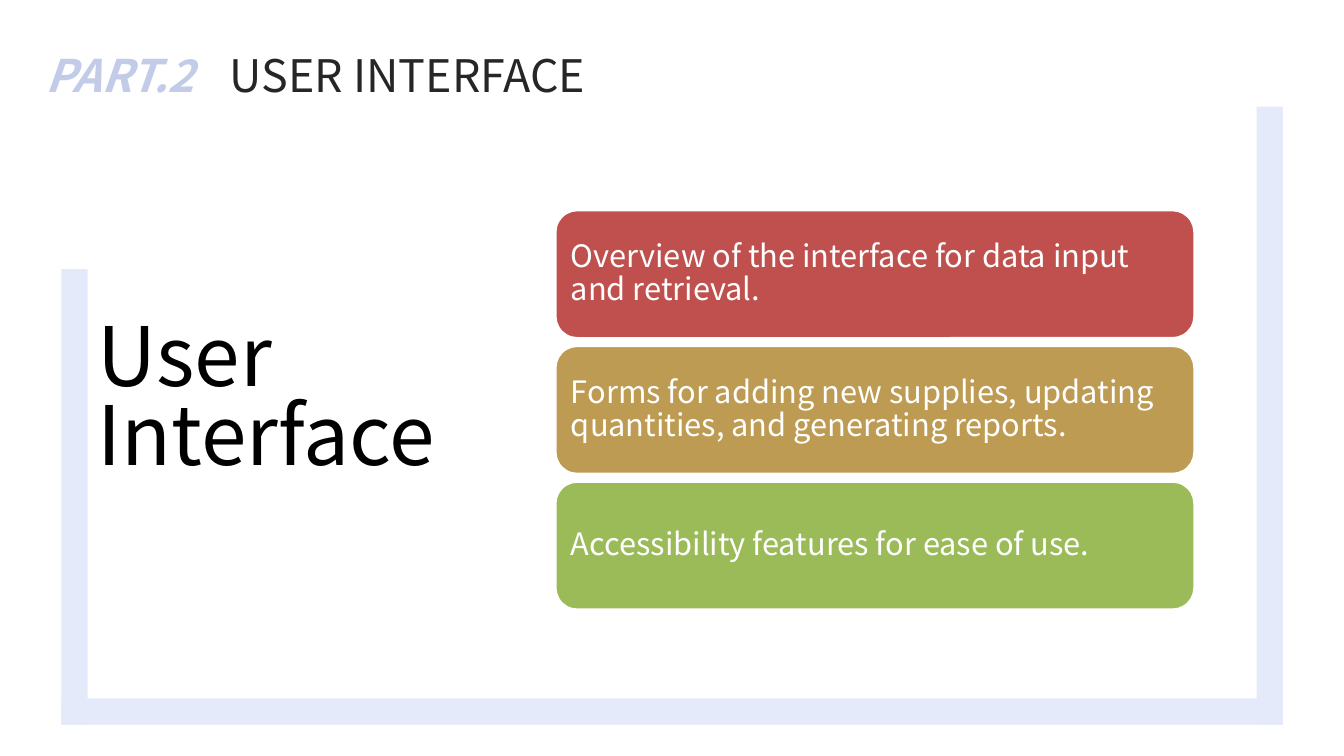
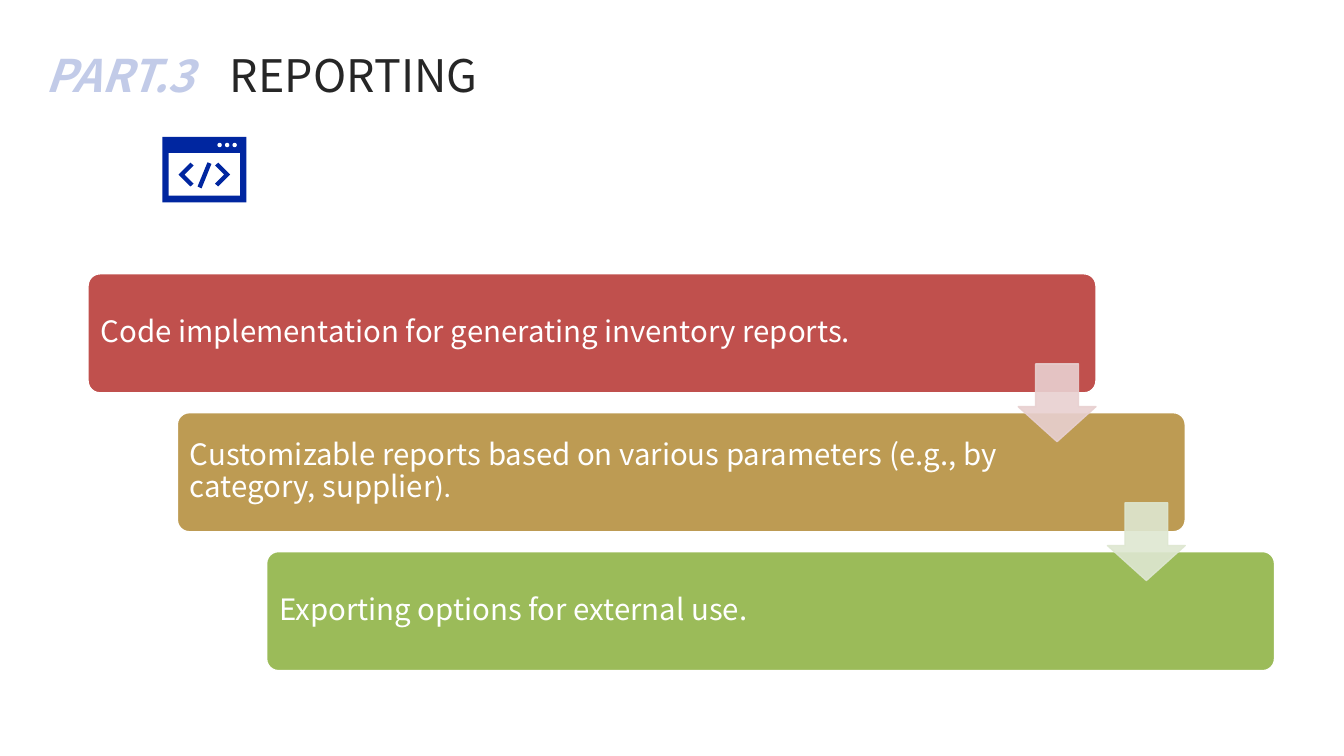
import dataclasses

import pptx
import pptx.dml.color
import pptx.enum.shapes
import pptx.enum.text
import pptx.oxml.ns
import pptx.util
from lxml import etree

Cm = pptx.util.Cm
Pt = pptx.util.Pt
Shape = pptx.enum.shapes.MSO_SHAPE
Anchor = pptx.enum.text.MSO_ANCHOR


@dataclasses.dataclass(frozen=True)
class Theme:
    font: str = "Noto Sans CJK SC"
    second_font: str = "Calibri"
    white: str = "FFFFFF"
    black: str = "000000"
    title: str = "262626"
    section_label: str = "C2CBE8"
    band: str = "E4EAFA"
    icon: str = "0026A0"
    cards: tuple = ("C0504D", "BD9B53", "9BBB59")
    arrows: tuple = ("E8D0D0", "DEE7D1")
    arrow_opacity: int = 90
    title_size: float = 32
    heading_size: float = 58.5
    card_size: float = 22
    step_size: float = 21


THEME = Theme()


def rgb(color):
    return pptx.dml.color.RGBColor.from_string(color)


def write_text(frame, text, *, size, color, bold=False, italic=False,
               spacing=1.0, anchor=Anchor.TOP, ending=""):
    frame.word_wrap = True
    frame.auto_size = pptx.enum.text.MSO_AUTO_SIZE.NONE
    frame.vertical_anchor = anchor
    paragraph = frame.paragraphs[0]
    paragraph.alignment = pptx.enum.text.PP_ALIGN.LEFT
    paragraph.line_spacing = spacing
    for words, font_name in ((text, THEME.font), (ending, THEME.second_font)):
        if words:
            run = paragraph.add_run()
            run.text = words
            run.font.name = font_name
            run.font.size = Pt(size)
            run.font.bold = bold
            run.font.italic = italic
            run.font.color.rgb = rgb(color)


def set_opacity(shape, percent):
    for color in shape.element.spPr.iter(pptx.oxml.ns.qn("a:srgbClr")):
        alpha = etree.SubElement(color, pptx.oxml.ns.qn("a:alpha"))
        alpha.set("val", str(percent * 1000))


class Deck:
    def __init__(self):
        self.presentation = pptx.Presentation()
        self.presentation.slide_width = Cm(33.87)
        self.presentation.slide_height = Cm(19.05)
        self.slide = None

    def add_slide(self, section_label, title):
        layout = self.presentation.slide_layouts.get_by_name("Title Only")
        self.slide = self.presentation.slides.add_slide(layout)
        self.text_box(section_label, 0.89, 1.07, 4.6, 1.63,
                      size=THEME.title_size, color=THEME.section_label,
                      bold=True, italic=True)
        placeholder = self.slide.shapes.title
        placeholder.left, placeholder.top = Cm(5.54), Cm(1.07)
        placeholder.width, placeholder.height = Cm(19.5), Cm(1.63)
        write_text(placeholder.text_frame, title,
                   size=THEME.title_size, color=THEME.title)

    def text_box(self, text, left, top, width, height, **text_format):
        shape = self.slide.shapes.add_textbox(
            Cm(left), Cm(top), Cm(width), Cm(height))
        write_text(shape.text_frame, text, **text_format)

    def style(self, shape, fill, line=None, line_width=1):
        shape.shadow.inherit = False
        shape.fill.solid()
        shape.fill.fore_color.rgb = rgb(fill)
        if line:
            shape.line.color.rgb = rgb(line)
            shape.line.width = Pt(line_width)
        else:
            shape.line.fill.background()
        return shape

    def shape(self, kind, left, top, width, height, fill, **line_format):
        shape = self.slide.shapes.add_shape(
            kind, Cm(left), Cm(top), Cm(width), Cm(height))
        return self.style(shape, fill, **line_format)

    def outline(self, points, fill):
        corners = [(Cm(x), Cm(y)) for x, y in points]
        builder = self.slide.shapes.build_freeform(*corners[0])
        builder.add_line_segments(corners[1:], close=True)
        self.style(builder.convert_to_shape(), fill)

    def card(self, text, left, top, width, height, fill, *, size, corner,
             line_width, right_margin=0.23, ending=""):
        shape = self.shape(Shape.ROUNDED_RECTANGLE, left, top, width, height,
                           fill, line=THEME.white, line_width=line_width)
        shape.adjustments[0] = corner
        frame = shape.text_frame
        frame.margin_left = frame.margin_top = frame.margin_bottom = Cm(0.23)
        frame.margin_right = Cm(right_margin)
        write_text(frame, text, size=size, color=THEME.white, spacing=0.9,
                   anchor=Anchor.MIDDLE, ending=ending)

    def arrow(self, left, top, side, color):
        shape = self.shape(Shape.DOWN_ARROW, left, top, side, side, color,
                           line=color)
        shape.adjustments[0] = 0.55
        shape.adjustments[1] = 0.45
        set_opacity(shape, THEME.arrow_opacity)

    def bracket(self):
        left, right, bottom, thickness = 1.55, 32.33, 18.26, 0.66
        for bar_left, top, width in (
                (left, 6.78, thickness),
                (left, bottom - thickness, right - left),
                (right - thickness, 2.69, thickness)):
            self.shape(Shape.RECTANGLE, bar_left, top, width, bottom - top,
                       THEME.band)

    def code_icon(self):
        self.shape(Shape.RECTANGLE, 4.09, 3.45, 2.12, 1.65, THEME.icon)
        self.shape(Shape.RECTANGLE, 4.25, 3.86, 1.8, 1.07, THEME.white)
        for index in range(3):
            self.shape(Shape.OVAL, 5.48 + 0.19 * index, 3.6, 0.11, 0.11,
                       THEME.white)
        chevron = ((-0.35, 0.3), (-0.65, 0), (-0.35, -0.3),
                   (-0.27, -0.23), (-0.5, 0), (-0.27, 0.23))
        mirrored = [(-x, y) for x, y in chevron]
        slash = ((-0.17, 0.3), (0.08, -0.31), (0.18, -0.27), (-0.07, 0.35))
        for points in (chevron, slash, mirrored):
            self.outline([(5.15 + x, 4.4 + y) for x, y in points], THEME.icon)


def build_interface(deck):
    deck.add_slide("PART.2", "USER INTERFACE")
    deck.bracket()
    deck.text_box("User Interface", 2.21, 8.03, 9.65, 4.6,
                  size=THEME.heading_size, color=THEME.black, spacing=0.8)
    features = (
        "Overview of the interface for data input and retrieval.",
        "Forms for adding new supplies, updating quantities, and generating reports.",
        "Accessibility features for ease of use.",
    )
    for index, (text, fill) in enumerate(zip(features, THEME.cards)):
        deck.card(text, 14.0, 5.3 + 3.42 * index, 16.1, 3.22, fill,
                  size=THEME.card_size, corner=0.17, line_width=1.5)


def build_reporting(deck):
    deck.add_slide("PART.3", "REPORTING")
    deck.code_icon()
    left, top, step_x, step_y = 2.22, 6.9, 2.25, 3.5
    steps = (
        ("Code implementation for generating inventory reports.", ""),
        ("Customizable reports based on various parameters "
         "(e.g., by category, supplier", ")."),
        ("Exporting options for external use.", ""),
    )
    for index, ((text, ending), fill) in enumerate(zip(steps, THEME.cards)):
        deck.card(text, left + step_x * index, top + step_y * index, 25.4, 3,
                  fill, size=THEME.step_size, corner=0.1, line_width=1,
                  right_margin=4.4, ending=ending)
    for index, color in enumerate(THEME.arrows):
        deck.arrow(left + 23.44 + step_x * index, top + 2.27 + step_y * index,
                   1.96, color)


def main():
    deck = Deck()
    build_interface(deck)
    build_reporting(deck)
    deck.presentation.save("out.pptx")


if __name__ == "__main__":
    main()
